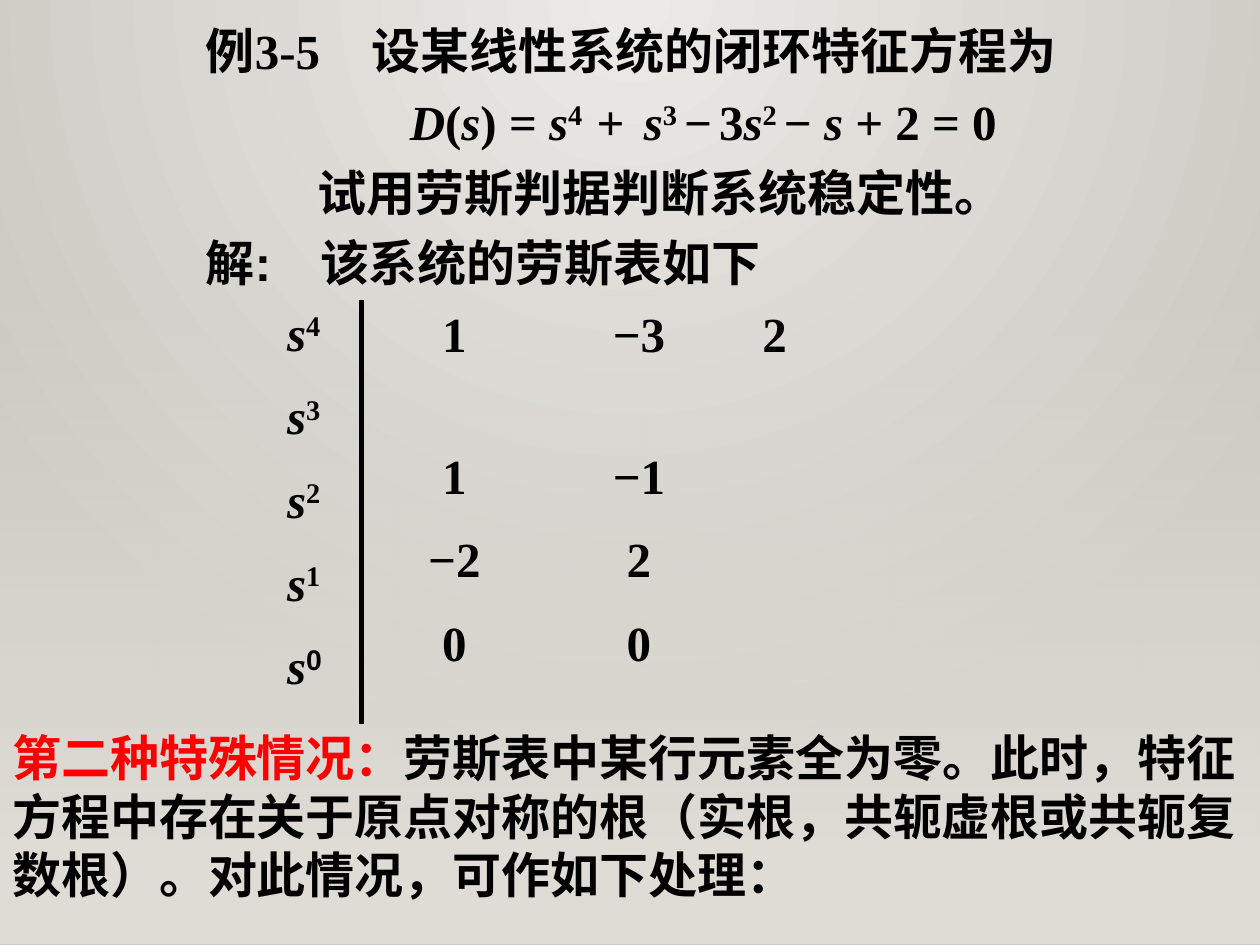
from lxml import etree
from pptx import Presentation
from pptx.dml.color import RGBColor
from pptx.enum.shapes import MSO_CONNECTOR, MSO_SHAPE
from pptx.enum.text import MSO_ANCHOR, MSO_AUTO_SIZE, PP_ALIGN
from pptx.oxml.ns import qn
from pptx.util import Pt

LINE, RECT = MSO_CONNECTOR.STRAIGHT, MSO_SHAPE.RECTANGLE
TOP, FIXED, LEFT = MSO_ANCHOR.TOP, MSO_AUTO_SIZE.NONE, PP_ALIGN.LEFT
HAN, SERIF, SANS = "Noto Sans CJK SC", "Times New Roman", "Arial"
BLACK, RED, SAND = "000000", "FF0000", "DFDBD5"
color = RGBColor.from_string


def add(node, tag, **attrs):
    child = etree.SubElement(node, qn(tag))
    for key, val in attrs.items():
        child.set(key, str(val))
    return child


def write(box, rows, pitch, inset=0, gaps=(), tabs=(), align="l", dents=()):
    """Fill a box; each run is (text, marks): i italic, ^ raised, h Han, r red."""
    frame = box.text_frame
    look = {"word_wrap": True, "auto_size": FIXED, "vertical_anchor": TOP,
            "margin_left": Pt(7.2), "margin_right": Pt(7.2),
            "margin_top": Pt(inset), "margin_bottom": 0}
    for key, val in look.items():
        setattr(frame, key, val)
    for n, runs in enumerate(rows):
        para = frame.paragraphs[0] if n == 0 else frame.add_paragraph()
        props = para._p.get_or_add_pPr()
        if dents:
            props.set("marL", str(Pt(dents[n])))
            props.set("indent", "0")
        add(props, "a:buNone")
        if tabs:
            stops = add(props, "a:tabLst")
            for pos in tabs:
                add(stops, "a:tab", pos=Pt(pos), algn=align)
        para.alignment = LEFT
        para.line_spacing = Pt(pitch)
        para.space_before = Pt(gaps[n] if gaps else 0)
        for text, marks in runs:
            run = para.add_run()
            run.text = text
            font = run.font
            form = {"size": Pt(28), "bold": True, "italic": "i" in marks,
                    "name": SANS if "h" in marks else SERIF}
            for key, val in form.items():
                setattr(font, key, val)
            font.color.rgb = color(RED if "r" in marks else BLACK)
            add(run._r.rPr, "a:ea", typeface=HAN)
            if "^" in marks:
                run._r.rPr.set("baseline", "30000")


deck = Presentation()
deck.slide_width, deck.slide_height = Pt(720), Pt(540)
slide = deck.slides.add_slide(deck.slide_layouts[1])
shapes = slide.shapes
title, body = slide.placeholders

# Radial background
fill = slide.background.fill
fill.gradient()
for stop, tone in zip(fill.gradient_stops, ("ECEAE7", "CAC7C1")):
    stop.color.rgb = color(tone)
grad = slide.element.xpath(".//p:bg//a:gradFill")[0]
grad.remove(grad.find(qn("a:lin")))
add(add(grad, "a:path", path="circle"), "a:fillToRect",
    l=43000, t=0, r=43000, b=100000)

# Floor: fading wall, edge and flat band
wall = shapes.add_shape(RECT, 0, Pt(158.4), Pt(720), Pt(321.6))
wall.fill.gradient()
wall.fill.gradient_angle = 270
for stop in wall.fill.gradient_stops:
    stop.color.rgb = color(SAND)
add(wall._element.xpath(".//a:gs/a:srgbClr")[0], "a:alpha", val=0)
edge = shapes.add_connector(LINE, 0, Pt(480), Pt(720), Pt(480))
band = shapes.add_shape(RECT, 0, Pt(479.5), Pt(723), Pt(60))
band.fill.solid()
band.fill.fore_color.rgb = color(SAND)
for shape in (wall, band):
    shape.shadow.inherit = False
    shape.line.fill.background()

# Axis of the Routh table
axis = shapes.add_connector(LINE, Pt(206.6), Pt(171.6), Pt(206.6), Pt(413.8))
for line, tone, width in ((edge, "000001", 1), (axis, BLACK, 3)):
    line.line.color.rgb = color(tone)
    line.line.width = Pt(width)
    add(line._element.spPr, "a:effectLst")
add(edge._element.xpath(".//a:ln//a:srgbClr")[0], "a:alpha", val=20000)

# Bring the placeholders in front of the floor
for holder in (title, body):
    shapes._spTree.append(holder._element)

# Boxes
note = shapes.add_textbox(0, 0, 0, 0)
power = shapes.add_textbox(0, 0, 0, 0)
grid = shapes.add_textbox(0, 0, 0, 0)
for box, spot in ((title, (110.5, 1.4, 638, 44)), (body, (110.5, 45.7, 638, 125)),
                  (note, (0, 412.6, 720, 108)), (power, (157, 169.4, 52.5, 242)),
                  (grid, (230, 170, 240, 192))):
    box.left, box.top, box.width, box.height = map(Pt, spot)

# Problem and solution
write(title, [[("例", "h"), ("3-5\t", ""), ("设某线性系统的闭环特征方程为", "h")]],
      40.3, 3.6, tabs=[94.5])
write(body, [
    [("D", "i"), ("(", ""), ("s", "i"), (") = ", ""), ("s", "i"),
     ("4  ", "^"), ("+ ", ""), (" ", "^"), ("s", "i"), ("3 ", "^"), ("−", ""),
     (" ", "^"), ("3", ""), ("s", "i"), ("2 ", "^"), ("− ", ""), ("s ", "i"),
     ("+ 2 = 0", "")],
    [("试用劳斯判据判断系统稳定性。", "h")],
    [("解:\u3000该系统的劳斯表如下".replace("\u3000", "　"), "h")]],
    40.3, dents=(116.5, 64, 0))

# Routh table
write(power, [[("s", "i"), (str(n), "^" if n else "^h")] for n in range(4, -1, -1)],
      33.6, 3.6, gaps=(0, 14, 14, 14, 14))
table = [("1", "−3", "2"), ("1", "−1"), ("−2", "2"), ("0", "0")]
write(grid, [[("\t" + "\t".join(row), "")] for row in table], 33.6, 3.6,
      gaps=(0, 47.5, 14, 14), tabs=(22.5, 128, 205.5), align="ctr")

# Second special case
write(note, [[("第二种特殊情况：", "hr"),
              ("劳斯表中某行元素全为零。此时，特征方程中存在关于原点对称的根"
               "（实根，共轭虚根或共轭复数根）。对此情况，可作如下处理：", "h")]],
      33.6, 3)

deck.save("out.pptx")
